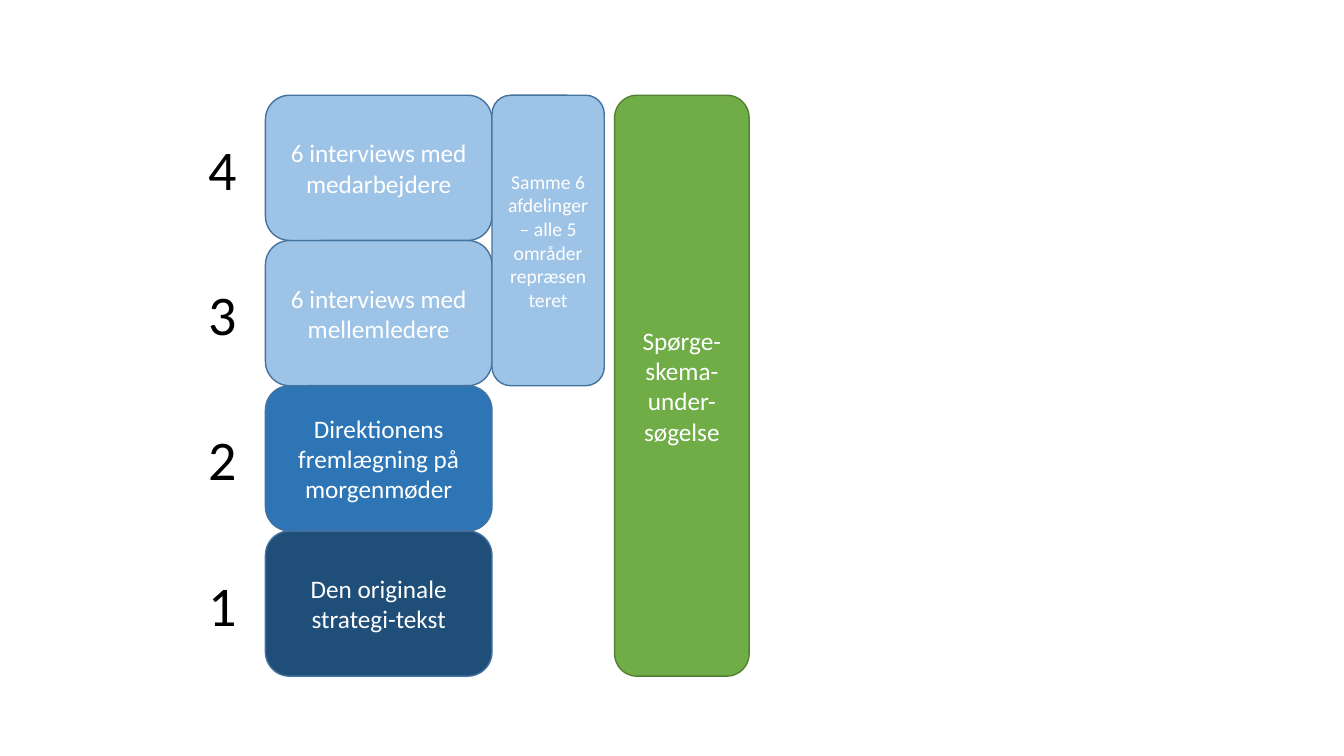
from dataclasses import dataclass

from pptx import Presentation
from pptx.dml.color import RGBColor as Rgb
from pptx.enum.shapes import MSO_SHAPE as Preset
from pptx.enum.text import MSO_ANCHOR as Anchor, MSO_AUTO_SIZE as AutoSize, PP_ALIGN as Align
from pptx.util import Cm, Pt


@dataclass(frozen=True)
class Theme:
    """Colours, font and type sizes of the slide."""

    font: str = "Calibri"
    navy: str = "1F4E79"
    blue: str = "2E75B6"
    sky: str = "9DC3E6"
    blue_edge: str = "43739E"
    green: str = "70AD47"
    green_edge: str = "538035"
    white: str = "FFFFFF"
    black: str = "000000"
    small: int = 14
    body: int = 18
    number: int = 40


class Canvas:
    """Draws styled elements on the current slide."""

    def __init__(self, page, theme):
        """Keep the slide and its style."""
        self.page = page
        self.theme = theme

    def set_text(self, frame, text, size, color, align):
        """Fill a text frame with one styled paragraph."""
        frame.word_wrap = True
        para = frame.paragraphs[0]
        para.text = text
        para.alignment = align
        para.font.name = self.theme.font
        para.font.size = Pt(size)
        para.font.color.rgb = Rgb.from_string(color)

    def block(self, text, left, top, width, height, fill, edge, size):
        """Add a rounded block with centred white text."""
        box = self.page.shapes.add_shape(
            Preset.ROUNDED_RECTANGLE, Cm(left), Cm(top), Cm(width), Cm(height))
        box.shadow.inherit = False
        box.fill.solid()
        box.fill.fore_color.rgb = Rgb.from_string(fill)
        box.line.color.rgb = Rgb.from_string(edge)
        box.line.width = Pt(1)
        box.text_frame.vertical_anchor = Anchor.MIDDLE
        self.set_text(box.text_frame, text, size, self.theme.white, Align.CENTER)

    def number(self, text, left, top, width, height):
        """Add a large level number."""
        box = self.page.shapes.add_textbox(Cm(left), Cm(top), Cm(width), Cm(height))
        self.set_text(box.text_frame, text, self.theme.number, self.theme.black, Align.LEFT)
        box.text_frame.auto_size = AutoSize.SHAPE_TO_FIT_TEXT


def main():
    """Build the slide and save it."""
    theme = Theme()
    deck = Presentation()
    deck.slide_width, deck.slide_height = Cm(33.87), Cm(19.05)
    canvas = Canvas(deck.slides.add_slide(deck.slide_layouts[6]), theme)

    stack_top, level_height = 2.4, 3.66
    levels = [
        ("Den originale strategi-tekst", theme.navy),
        ("Direktionens fremlægning på morgenmøder", theme.blue),
        ("6 interviews med mellemledere", theme.sky),
        ("6 interviews med medarbejdere", theme.sky),
    ]
    for level, (text, fill) in enumerate(levels, start=1):
        top = stack_top + (len(levels) - level) * level_height
        canvas.block(text, 6.69, top, 5.71, level_height, fill, theme.blue_edge, theme.body)
        canvas.number(str(level), 5, top + 0.86, 1.37, 1.96)

    canvas.block("Samme 6 afdelinger – alle 5 områder repræsenteret", 12.4, stack_top,
                 2.83, 2 * level_height, theme.sky, theme.blue_edge, theme.small)
    canvas.block("Spørge-skema-under-søgelse", 15.49, stack_top,
                 3.39, len(levels) * level_height, theme.green, theme.green_edge, theme.body)
    deck.save("out.pptx")


if __name__ == "__main__":
    main()
